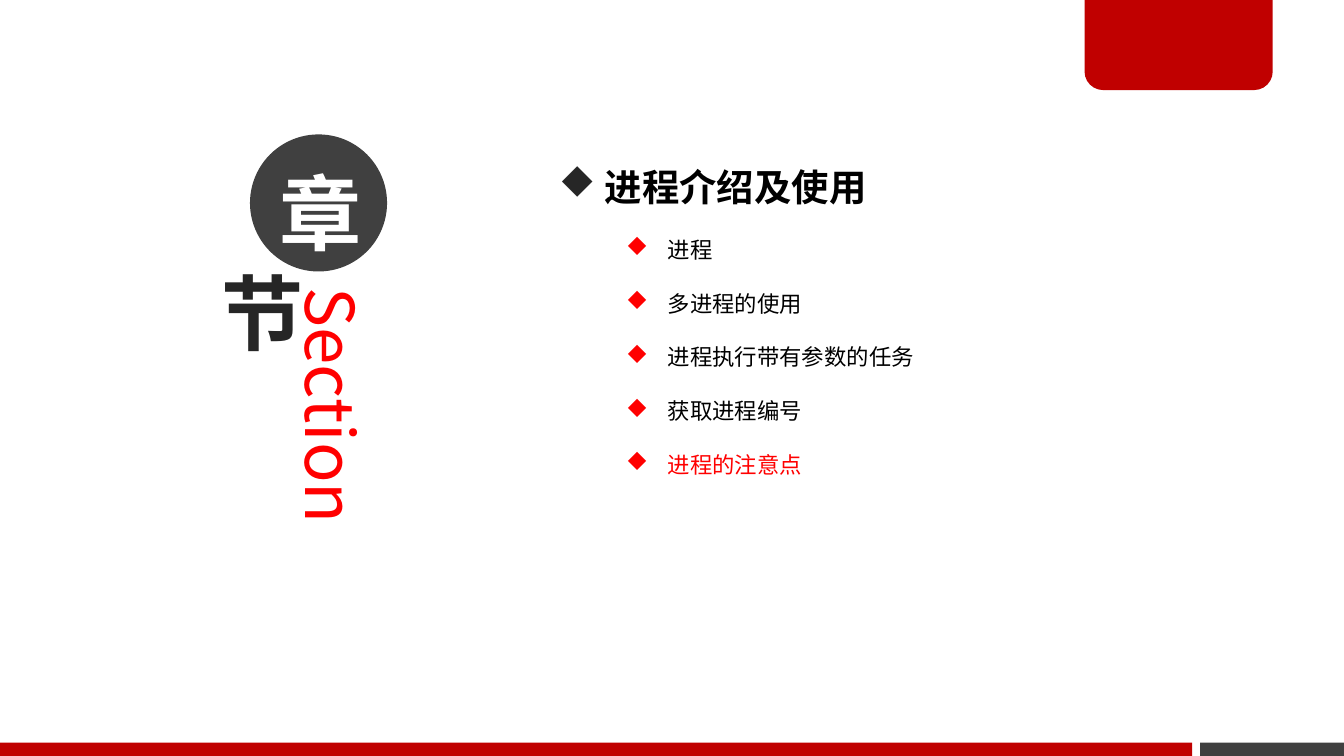
from dataclasses import dataclass

from lxml import etree
from pptx import Presentation
from pptx.dml.color import RGBColor
from pptx.enum.shapes import MSO_SHAPE
from pptx.enum.text import MSO_ANCHOR, MSO_AUTO_SIZE, PP_ALIGN
from pptx.oxml.ns import qn
from pptx.util import Inches, Pt

RECTANGLE = MSO_SHAPE.RECTANGLE
ELLIPSE = MSO_SHAPE.OVAL
TAB = MSO_SHAPE.ROUND_2_SAME_RECTANGLE
MIDDLE = MSO_ANCHOR.MIDDLE
CENTER = PP_ALIGN.CENTER
FIT_SHAPE = MSO_AUTO_SIZE.SHAPE_TO_FIT_TEXT

SLIDE_WIDTH = 10
SLIDE_HEIGHT = SLIDE_WIDTH * 9 / 16
FOOTER_HEIGHT = 0.1


@dataclass(frozen=True)
class Theme:
    font: str = "Noto Sans CJK SC"
    bullet_font: str = "Wingdings"
    diamond: str = "u"  # a solid diamond in the bullet font
    crimson: str = "C00000"
    red: str = "FF0000"
    gray: str = "404040"
    ink: str = "262626"
    black: str = "000000"
    white: str = "FFFFFF"
    badge_size: int = 44
    section_size: int = 36
    heading_size: int = 20
    topic_size: int = 12


THEME = Theme()
TOPICS = ["进程", "多进程的使用", "进程执行带有参数的任务", "获取进程编号", "进程的注意点"]
CURRENT_TOPIC = TOPICS[-1]


def add_shape(slide, kind, left, top, width, height, fill=None):
    shape = slide.shapes.add_shape(
        kind, Inches(left), Inches(top), Inches(width), Inches(height))
    shape.shadow.inherit = False
    shape.line.fill.background()
    if fill:
        shape.fill.solid()
        shape.fill.fore_color.rgb = RGBColor.from_string(fill)
    else:
        shape.fill.background()
    return shape


def add_text_box(slide, left, top, width, height):
    box = slide.shapes.add_textbox(
        Inches(left), Inches(top), Inches(width), Inches(height))
    box.text_frame.word_wrap = True
    return box.text_frame


def set_insets(frame, bottom=0.04):
    frame.margin_left = frame.margin_right = Inches(0.07)
    frame.margin_top = Inches(0.04)
    frame.margin_bottom = Inches(bottom)


def add_run(paragraph, text, size, color, bold=False):
    """Add a run whose Latin and East Asian fonts are both the theme font."""
    run = paragraph.add_run()
    run.text = text
    font = run.font
    font.size = Pt(size)
    font.bold = bold
    font.color.rgb = RGBColor.from_string(color)
    font.name = THEME.font
    latin = run._r.get_or_add_rPr().find(qn("a:latin"))
    east_asian = etree.Element(qn("a:ea"), typeface=THEME.font)
    latin.addnext(east_asian)


def set_bullet(paragraph, color, margin, hanging):
    properties = paragraph._p.get_or_add_pPr()
    properties.set("marL", str(Inches(margin)))
    properties.set("indent", str(-Inches(hanging)))
    bullet_color = etree.SubElement(properties, qn("a:buClr"))
    etree.SubElement(bullet_color, qn("a:srgbClr"), val=color)
    etree.SubElement(properties, qn("a:buFont"),
                     typeface=THEME.bullet_font, charset="2")
    etree.SubElement(properties, qn("a:buChar"), char=THEME.diamond)


def add_badge(slide, text, left, top, size, color, fill=None,
              bottom=0.04, line_spacing=None):
    """Add a circle that holds one large character."""
    shape = add_shape(slide, ELLIPSE, left, top, size, size, fill)
    frame = shape.text_frame
    frame.vertical_anchor = MIDDLE
    set_insets(frame, bottom)
    paragraph = frame.paragraphs[0]
    paragraph.alignment = CENTER
    paragraph.line_spacing = line_spacing
    add_run(paragraph, text, THEME.badge_size, color, bold=True)


def add_frame_decor(slide):
    footer_top = SLIDE_HEIGHT - FOOTER_HEIGHT
    add_shape(slide, RECTANGLE, 8.93, footer_top, 1.07, FOOTER_HEIGHT, THEME.gray)
    tab = add_shape(slide, TAB, 8.07, -0.02, 1.4, 0.69, THEME.crimson)
    tab.adjustments[0] = 0
    tab.adjustments[1] = 0.2
    add_shape(slide, RECTANGLE, 0, footer_top, 8.87, FOOTER_HEIGHT, THEME.crimson)


def add_section_label(slide):
    frame = add_text_box(slide, 2.14, 2.1, 0.7, 2.89)
    set_insets(frame)
    frame._txBody.bodyPr.set("vert", "vert")
    add_run(frame.paragraphs[0], "Section", THEME.section_size, THEME.red)


def add_outline(slide):
    frame = add_text_box(slide, 4.06, 0.84, 4.72, 3.2)
    frame.auto_size = FIT_SHAPE
    heading = frame.paragraphs[0]
    heading.line_spacing = 2.0
    set_bullet(heading, THEME.ink, 0.19, 0.19)
    add_run(heading, " 进程介绍及使用", THEME.heading_size, THEME.black, bold=True)
    for topic in TOPICS:
        paragraph = frame.add_paragraph()
        paragraph.level = 1
        paragraph.line_spacing = 2.0
        set_bullet(paragraph, THEME.red, 0.81, 0.31)
        color = THEME.red if topic == CURRENT_TOPIC else THEME.black
        add_run(paragraph, topic, THEME.topic_size, color)


def main():
    presentation = Presentation()
    presentation.slide_width = Inches(SLIDE_WIDTH)
    presentation.slide_height = Inches(SLIDE_HEIGHT)
    slide = presentation.slides.add_slide(presentation.slide_layouts[6])
    add_frame_decor(slide)
    add_section_label(slide)
    add_badge(slide, "章", 1.86, 1, 1.02, THEME.white, THEME.gray,
              bottom=0.15, line_spacing=Pt(70))
    add_badge(slide, "节", 1.46, 1.92, 0.8, THEME.ink)
    add_outline(slide)
    presentation.save("out.pptx")


if __name__ == "__main__":
    main()
